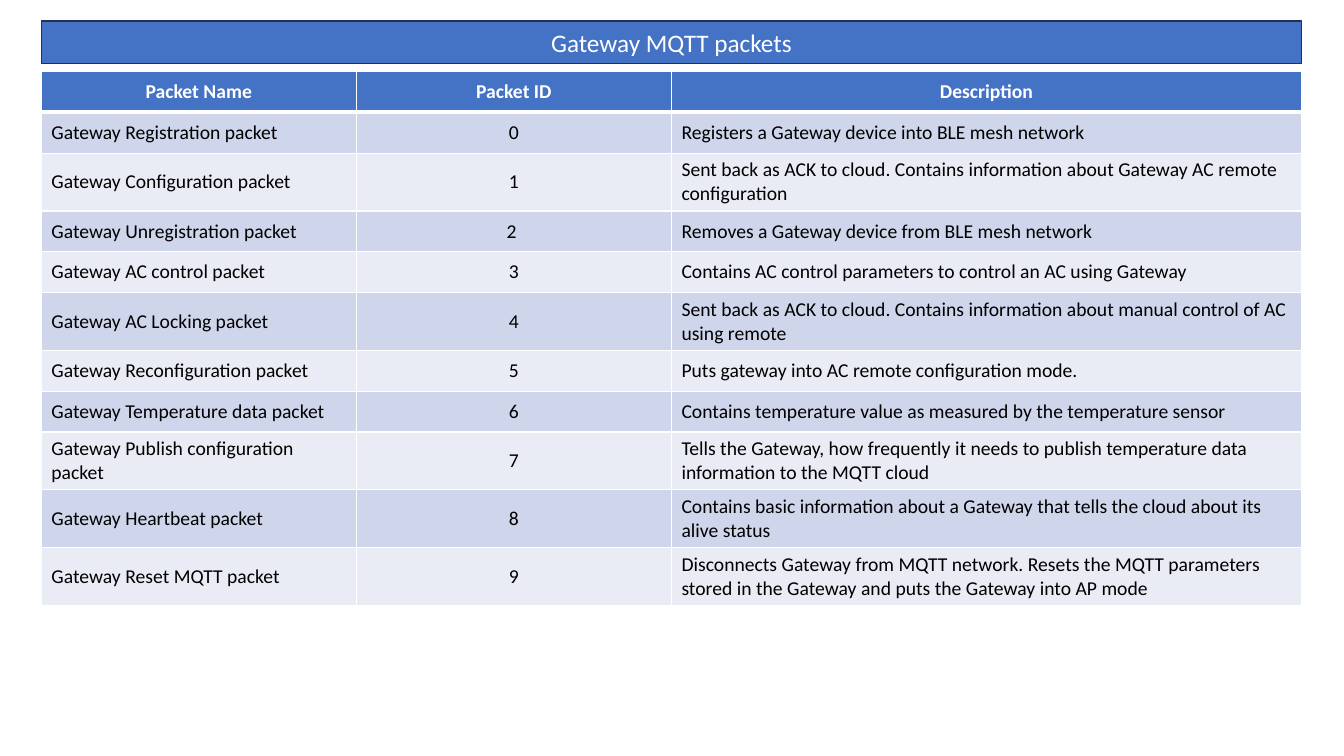
from pptx import Presentation
from pptx.dml.color import RGBColor
from pptx.enum.shapes import MSO_SHAPE
from pptx.enum.text import MSO_ANCHOR, PP_ALIGN
from pptx.oxml import parse_xml
from pptx.oxml.ns import nsdecls
from pptx.util import Inches, Pt

TITLE = "Gateway MQTT packets"
HEADER = ("Packet Name", "Packet ID", "Description")
PACKETS = [
    ("Gateway Registration packet", "0", "Registers a Gateway device into BLE mesh network"),
    ("Gateway Configuration packet", "1",
     "Sent back as ACK to cloud. Contains information about Gateway AC remote configuration"),
    ("Gateway Unregistration packet", "2 ", "Removes a Gateway device from BLE mesh network"),
    ("Gateway AC control packet", "3",
     "Contains AC control parameters to control an AC using Gateway"),
    ("Gateway AC Locking packet", "4",
     "Sent back as ACK to cloud. Contains information about manual control of AC using remote"),
    ("Gateway Reconfiguration packet", "5", "Puts gateway into AC remote configuration mode."),
    ("Gateway Temperature data packet", "6",
     "Contains temperature value as measured by the temperature sensor"),
    ("Gateway Publish configuration packet", "7",
     "Tells the Gateway, how frequently it needs to publish temperature data information to the MQTT cloud"),
    ("Gateway Heartbeat packet", "8",
     "Contains basic information about a Gateway that tells the cloud about its alive status"),
    ("Gateway Reset MQTT packet", "9",
     "Disconnects Gateway from MQTT network. Resets the MQTT parameters stored in the Gateway "
     "and puts the Gateway into AP mode"),
]

BLUE = RGBColor(0x44, 0x72, 0xC4)
NAVY = RGBColor(0x1E, 0x32, 0x56)
BANDS = (RGBColor(0xE9, 0xEB, 0xF5), RGBColor(0xCF, 0xD5, 0xEA))
WHITE = RGBColor(0xFF, 0xFF, 0xFF)
BLACK = RGBColor(0, 0, 0)
FONT = "Calibri"
LEFT, WIDTH = 0.41, 12.5
TITLE_TOP, TABLE_TOP = 0.21, 0.71
TITLE_HEIGHT, ROW_HEIGHT = 0.42, 0.405
COL_SHARES = (1 / 4, 1 / 4, 1 / 2)


def style(p, size, color, align, bold=False):
    p.alignment = align
    p.font.name, p.font.size, p.font.bold = FONT, Pt(size), bold
    p.font.color.rgb = color


def add_borders(cell, top, bottom):
    tcPr = cell._tc.get_or_add_tcPr()
    for side, width in (("L", 1), ("R", 1), ("T", top), ("B", bottom)):
        tcPr.append(parse_xml(
            f'<a:ln{side} {nsdecls("a")} w="{Pt(width)}"><a:solidFill>'
            f'<a:srgbClr val="{WHITE}"/></a:solidFill></a:ln{side}>'))


def add_title(s):
    sp = s.shapes.add_shape(MSO_SHAPE.RECTANGLE, Inches(LEFT), Inches(TITLE_TOP),
                            Inches(WIDTH), Inches(TITLE_HEIGHT))
    sp.shadow.inherit = False
    sp.fill.solid()
    sp.fill.fore_color.rgb = BLUE
    sp.line.color.rgb = NAVY
    sp.line.width = Pt(1)
    tf = sp.text_frame
    tf.text = TITLE
    tf.vertical_anchor = MSO_ANCHOR.MIDDLE
    style(tf.paragraphs[0], 18, WHITE, PP_ALIGN.CENTER)


def add_packet_table(s):
    rows = [HEADER, *PACKETS]
    table = s.shapes.add_table(len(rows), len(HEADER), Inches(LEFT), Inches(TABLE_TOP),
                               Inches(WIDTH), Inches(ROW_HEIGHT * len(rows))).table
    for col, share in zip(table.columns, COL_SHARES):
        col.width = Inches(WIDTH * share)
    for i, row in enumerate(rows):
        head = i == 0
        table.rows[i].height = Inches(ROW_HEIGHT)
        for j, text in enumerate(row):
            cell = table.cell(i, j)
            cell.text = text
            cell.vertical_anchor = MSO_ANCHOR.MIDDLE
            add_borders(cell, top=3 if i == 1 else 1, bottom=3 if head else 1)
            cell.fill.solid()
            cell.fill.fore_color.rgb = BLUE if head else BANDS[i % 2]
            align = PP_ALIGN.CENTER if head or j == 1 else PP_ALIGN.LEFT
            style(cell.text_frame.paragraphs[0], 14, WHITE if head else BLACK, align, head)


def main():
    prs = Presentation()
    prs.slide_width, prs.slide_height = Inches(13.33), Inches(7.5)
    s = prs.slides.add_slide(prs.slide_layouts[6])
    add_title(s)
    add_packet_table(s)
    prs.save("out.pptx")


if __name__ == "__main__":
    main()
